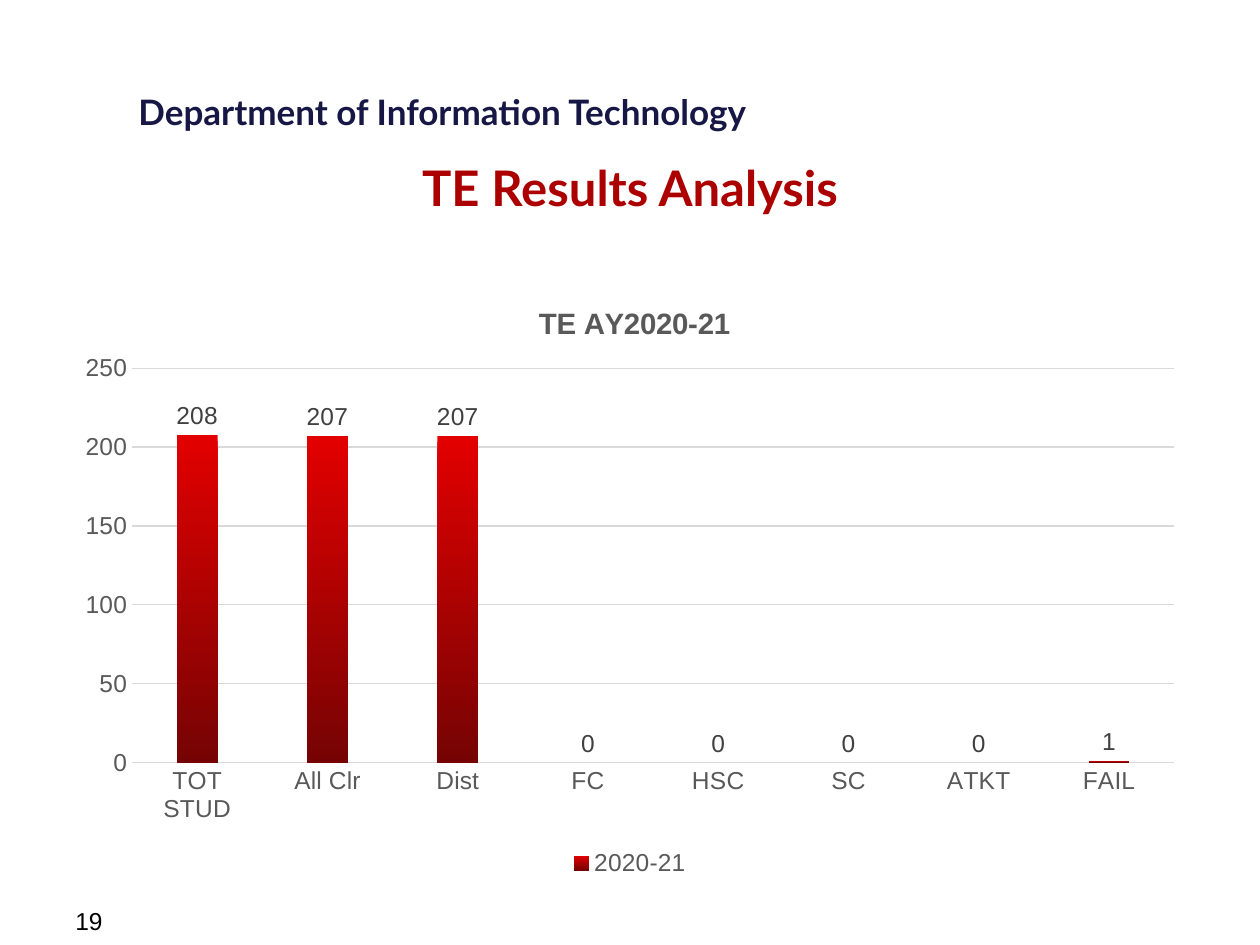
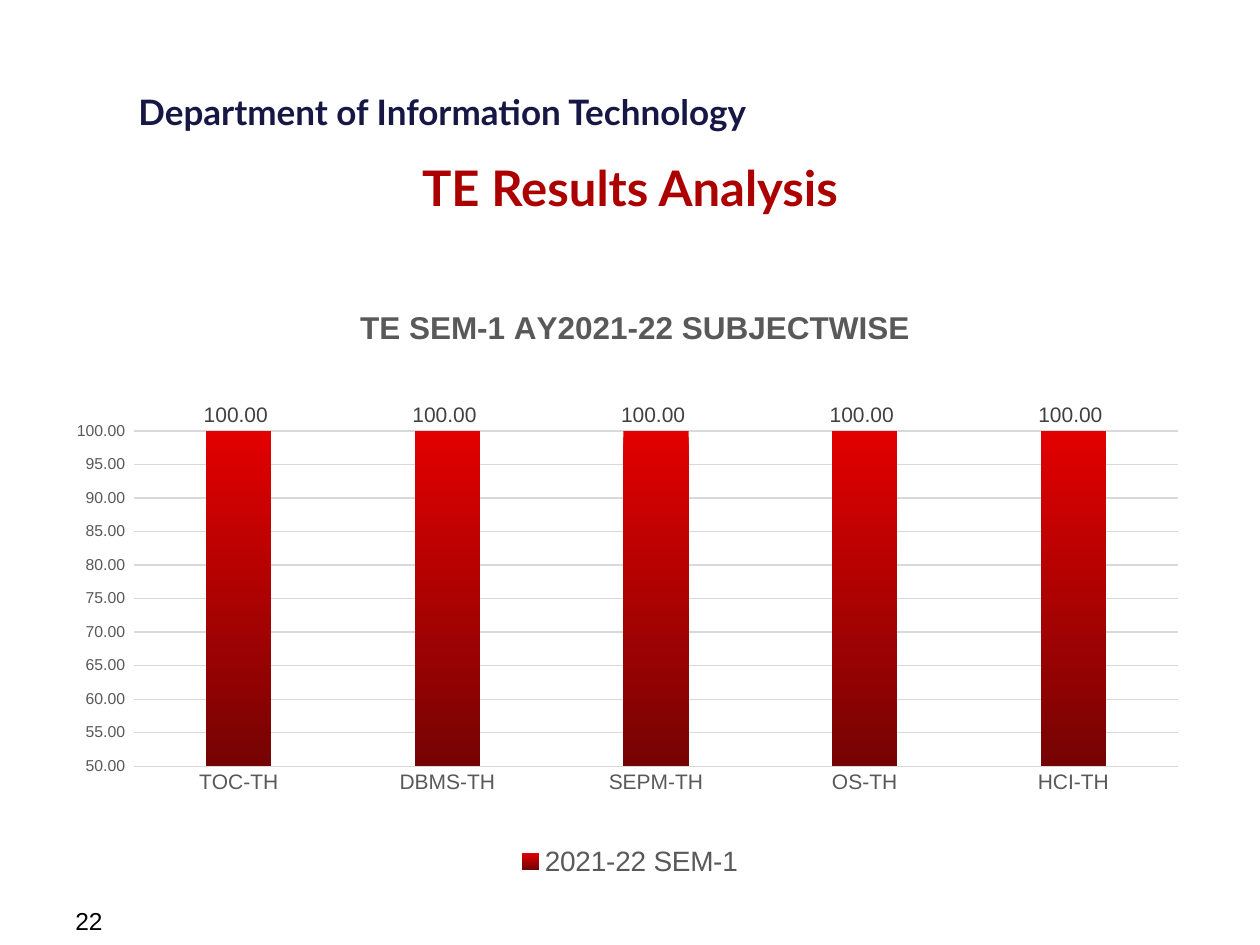
from dataclasses import dataclass

from pptx import Presentation
from pptx.chart.data import CategoryChartData
from pptx.dml.color import RGBColor
from pptx.enum.chart import XL_CHART_TYPE as ChartType
from pptx.enum.chart import XL_LABEL_POSITION as LabelPosition
from pptx.enum.chart import XL_LEGEND_POSITION as LegendPosition
from pptx.enum.chart import XL_TICK_MARK as TickMark
from pptx.enum.text import MSO_ANCHOR as Anchor
from pptx.enum.text import MSO_AUTO_SIZE as AutoSize
from pptx.enum.text import PP_ALIGN as Align
from pptx.oxml import parse_xml
from pptx.oxml.ns import nsdecls, qn
from pptx.util import Inches, Pt

COLORS = {
    "navy": "171745",
    "crimson": "AC0000",
    "black": "000000",
    "axis_text": "595959",
    "label_text": "404040",
    "grid": "D9D9D9",
    "bar_top": "E30000",
    "bar_base": "760303",
}
SLIDE_WIDTH, SLIDE_HEIGHT = Inches(10), Inches(7.5)
COLUMNS, ROWS = 20, 30
TITLE_ONLY = 5
FRAME_FORMAT = {
    "word_wrap": True,
    "auto_size": AutoSize.NONE,
    "vertical_anchor": Anchor.TOP,
}


@dataclass
class Box:
    column: float
    row: float
    columns: float
    rows: float

    def place(self):
        across, down = SLIDE_WIDTH / COLUMNS, SLIDE_HEIGHT / ROWS
        return [int(self.column * across), int(self.row * down),
                int(self.columns * across), int(self.rows * down)]


@dataclass
class Results:
    page: str
    heading: str
    series: str
    scores: dict
    scale: dict
    number_format: str
    sizes: dict
    plot_percent: tuple
    heading_percent: tuple


DEPARTMENT_BOX = Box(2, 2.68, 10.7, 1.76)
TITLE_BOX = Box(1, 4.8, 18, 1.92)
CHART_BOX = Box(1, 8.68, 18, 19.32)
PAGE_BOX = Box(1, 28.56, 4.66, 1.08)

RESULTS = [
    Results(
        page="19",
        heading="TE AY2020-21",
        series="2020-21",
        scores={"TOT STUD": 208, "All Clr": 207, "Dist": 207, "FC": 0,
                "HSC": 0, "SC": 0, "ATKT": 0, "FAIL": 1},
        scale={"minimum_scale": 0, "maximum_scale": 250, "major_unit": 50},
        number_format="General",
        sizes={"heading": 16.8, "categories": 14, "values": 14,
               "labels": 14, "legend": 14},
        plot_percent=(6.1, 15.6, 91.9, 64.8),
        heading_percent=(41.5, 4.2),
    ),
    Results(
        page="22",
        heading="TE SEM-1 AY2021-22 SUBJECTWISE",
        series="2021-22 SEM-1",
        scores=dict.fromkeys(
            ["TOC-TH", "DBMS-TH", "SEPM-TH", "OS-TH", "HCI-TH"], 100),
        scale={"minimum_scale": 50, "maximum_scale": 100, "major_unit": 5},
        number_format="0.00_ ",
        sizes={"heading": 18, "categories": 12, "values": 9,
               "labels": 12, "legend": 16},
        plot_percent=(6.3, 25.9, 92, 55.1),
        heading_percent=(25.7, 4.5),
    ),
]


def apply(target, values):
    for attribute, value in values.items():
        setattr(target, attribute, value)


def rgb(color):
    return RGBColor.from_string(COLORS[color])


def style_font(font, size, color, name="Arial", bold=False):
    apply(font, {"size": Pt(size), "name": name, "bold": bold})
    font.color.rgb = rgb(color)


def write(shape, text, align, **style):
    frame = shape.text_frame
    apply(frame, FRAME_FORMAT)
    paragraph = frame.paragraphs[0]
    paragraph.text = text
    paragraph.alignment = align
    style_font(paragraph.runs[0].font, **style)


def add_label(slide, box, text, **style):
    write(slide.shapes.add_textbox(*box.place()), text, Align.LEFT, **style)


def add_title(slide, box, text):
    title = slide.shapes.title
    apply(title, dict(zip(("left", "top", "width", "height"), box.place())))
    write(title, text, Align.CENTER,
          size=28, color="crimson", name="Lato", bold=True)


def set_layout(parent, index, percents, target=""):
    for previous in parent.findall(qn("c:layout")):
        parent.remove(previous)
    keys = ("x", "y", "w", "h")[:len(percents)]
    modes = "".join(f'<c:{key}Mode val="edge"/>' for key in keys[:2])
    places = "".join(f'<c:{key} val="{percent / 100:.3f}"/>'
                     for key, percent in zip(keys, percents))
    parent.insert(index, parse_xml(
        f'<c:layout {nsdecls("c")}><c:manualLayout>{target}{modes}{places}'
        '</c:manualLayout></c:layout>'))


def style_heading(chart, results):
    chart.has_title = True
    heading = chart.chart_title
    heading.include_in_layout = False
    paragraph = heading.text_frame.paragraphs[0]
    paragraph.text = results.heading
    style_font(paragraph.runs[0].font, results.sizes["heading"],
               "axis_text", bold=True)
    set_layout(heading._element, 1, results.heading_percent)


def style_axes(chart, results):
    categories, values = chart.category_axis, chart.value_axis
    for axis, part in ((categories, "categories"), (values, "values")):
        apply(axis, {"major_tick_mark": TickMark.NONE,
                     "minor_tick_mark": TickMark.NONE})
        style_font(axis.tick_labels.font, results.sizes[part], "axis_text")
    apply(values, {**results.scale, "has_major_gridlines": True})
    apply(values.tick_labels, {"number_format": results.number_format,
                               "number_format_is_linked": False})
    values.format.line.fill.background()
    for line in (categories.format.line, values.major_gridlines.format.line):
        line.width = Pt(0.75)
        line.color.rgb = rgb("grid")


def style_bars(chart, results):
    plot = chart.plots[0]
    apply(plot, {"gap_width": 219, "overlap": -27,
                 "vary_by_categories": False, "has_data_labels": True})
    apply(plot.data_labels, {"show_value": True,
                             "position": LabelPosition.OUTSIDE_END,
                             "number_format": results.number_format,
                             "number_format_is_linked": False})
    style_font(plot.data_labels.font, results.sizes["labels"], "label_text")
    fill = plot.series[0].format.fill
    fill.gradient()
    fill.gradient_angle = 270
    for stop, color in zip(fill.gradient_stops, ("bar_top", "bar_base")):
        stop.color.rgb = rgb(color)


def style_legend(chart, results):
    chart.has_legend = True
    apply(chart.legend, {"position": LegendPosition.BOTTOM,
                         "include_in_layout": False})
    style_font(chart.legend.font, results.sizes["legend"], "axis_text")


def add_results_chart(slide, box, results):
    data = CategoryChartData(number_format=results.number_format)
    data.categories = list(results.scores)
    data.add_series(results.series, list(results.scores.values()))
    chart = slide.shapes.add_chart(
        ChartType.COLUMN_CLUSTERED, *box.place(), data).chart
    style_font(chart.font, results.sizes["labels"], "black")
    for style_part in (style_heading, style_axes, style_bars, style_legend):
        style_part(chart, results)
    plot_area = chart._chartSpace.chart.plotArea
    set_layout(plot_area, 0, results.plot_percent,
               '<c:layoutTarget val="inner"/>')


def add_results_slide(deck, results):
    slide = deck.slides.add_slide(deck.slide_layouts[TITLE_ONLY])
    add_label(slide, DEPARTMENT_BOX, "Department of Information Technology",
              size=20, color="navy", name="Lato", bold=True)
    add_title(slide, TITLE_BOX, "TE Results Analysis")
    add_label(slide, PAGE_BOX, results.page, size=14, color="black")
    add_results_chart(slide, CHART_BOX, results)


def main():
    deck = Presentation()
    apply(deck, {"slide_width": SLIDE_WIDTH, "slide_height": SLIDE_HEIGHT})
    for results in RESULTS:
        add_results_slide(deck, results)
    deck.save("out.pptx")


if __name__ == "__main__":
    main()
